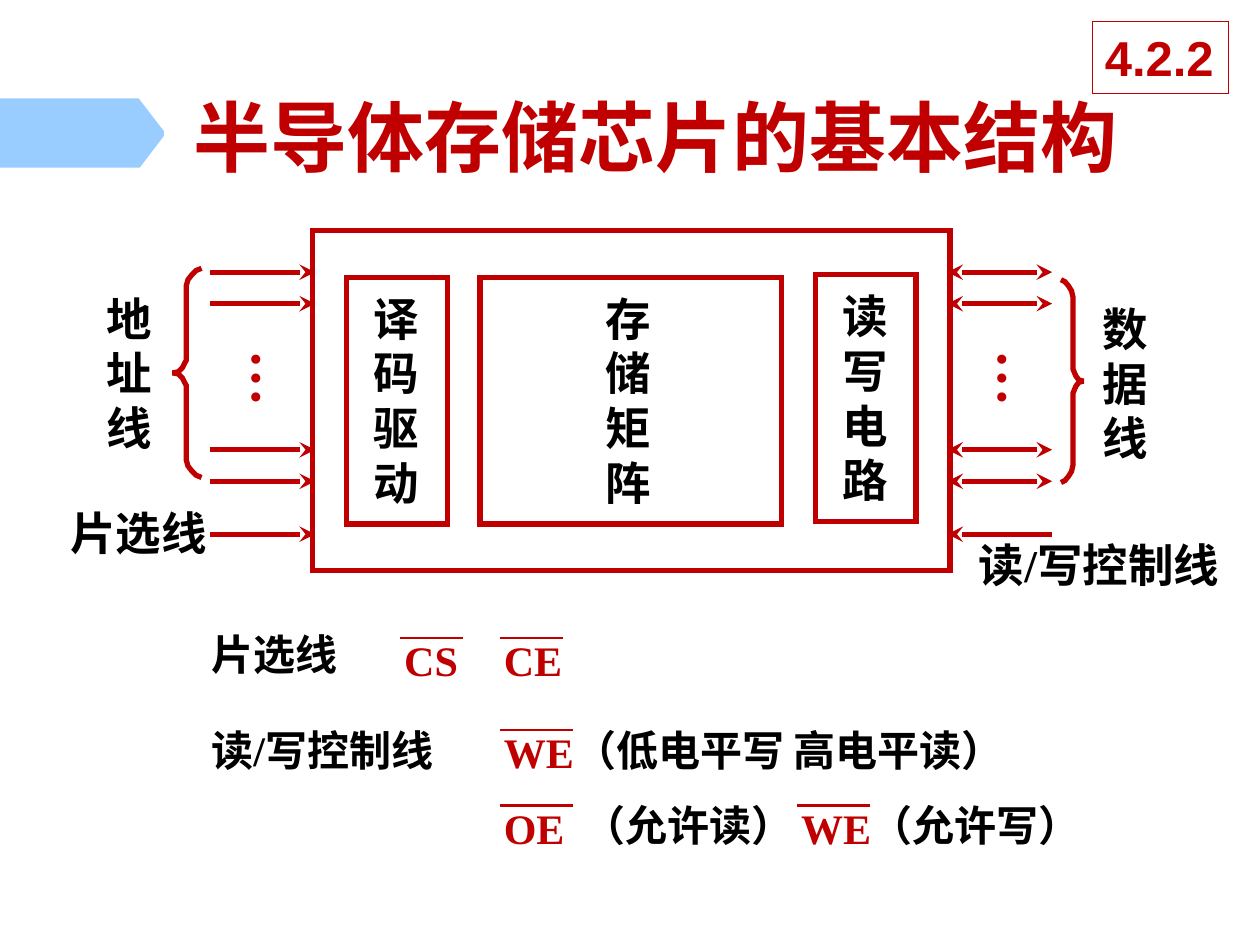
"""Builds a slide on the basic structure of a semiconductor memory chip, on a 100 by 75 grid."""
from lxml import etree
from pptx import Presentation
from pptx.dml.color import RGBColor
from pptx.enum.shapes import MSO_CONNECTOR, MSO_SHAPE
from pptx.enum.text import MSO_ANCHOR, PP_ALIGN
from pptx.oxml.ns import qn
from pptx.util import Inches, Pt

RED = RGBColor(0xC0, 0x00, 0x00)
BLACK = RGBColor(0x00, 0x00, 0x00)
BLUE = RGBColor(0x99, 0xCC, 0xFF)
WHITE = RGBColor(0xFF, 0xFF, 0xFF)
RECT = MSO_SHAPE.RECTANGLE
LINE = MSO_CONNECTOR.STRAIGHT
LEFT, CENTER = PP_ALIGN.LEFT, PP_ALIGN.CENTER
TOP, MIDDLE = MSO_ANCHOR.TOP, MSO_ANCHOR.MIDDLE
SERIF, SANS, HAN = "Times New Roman", "Arial", "Noto Sans CJK SC"
WIDE, HIGH = Inches(10), Inches(7.5)
CELL = WIDE / 100

TITLE = ("半导体存储芯片的基本结构", (13.4, 6.6, 77.3, 8.4))
BADGE = ("4.2.2", (86.7, 1.7, 10.8, 5.7))
TAG = [(0, 7.8), (11, 7.8), (13, 10.4), (13, 10.8), (11.1, 13.3), (0, 13.3)]
BOXES = [
    (24.8, 18.3, 50.6, 27),
    (27.5, 22, 8, 19.6),
    (38.1, 22, 23.9, 19.6),
    (64.7, 21.8, 8, 19.6),
]
STACKS = [
    ("译码驱动", (28.7, 22.6, 5.6, 18.4)),
    ("存储矩阵", (47.1, 22.6, 5.9, 18.4)),
    ("读写电路", (65.9, 22.4, 5.6, 18.4)),
    ("地址线", (7.5, 22.6, 5.4, 14)),
    ("数据线", (86.5, 23.4, 5.6, 14)),
]
LABELS = [
    ("片选线", (4.6, 39.6, 12.9, 5.3), 26),
    ("读/写控制线", (76.7, 42.1, 21.2, 5.3), 26),
    ("片选线", (15.8, 49.4, 30.3, 5), 24),
    ("读/写控制线", (15.8, 57, 27.6, 5), 24),
    ("（低电平写 高电平读）", (44.6, 57, 46.1, 5), 24),
    ("（允许读）", (45.3, 63, 24.4, 5), 24),
    ("（允许写）", (68.1, 63, 24.4, 5), 24),
]
SIGNALS = [
    ("CS", 31.1, 49.9, 5),
    ("CE", 39, 49.9, 5),
    ("WE", 39, 57.2, 5.8),
    ("OE", 39, 63.2, 5.8),
    ("WE", 62.6, 63.2, 5.8),
]
BUS_ROWS = [21.6, 24.1, 35.7, 38.2]
CTRL_ROW = 42.4
DOTS = [(17.6, 26.8, 7.4, 5.5), (76.8, 26.8, 7.4, 5.5)]
BRACES = [(16, 21.3, -2.3, 16.6), (84.2, 22.2, 1.8, 16.1)]
CURVE = [(0, 0), (0.18, 0.02), (0.33, 0.06), (0.47, 0.11), (0.53, 0.17),
         (0.53, 0.88), (0.66, 0.95), (0.8, 0.99), (1, 1)]

deck = Presentation()
deck.slide_width, deck.slide_height = WIDE, HIGH
shapes = deck.slides.add_slide(deck.slide_layouts[6]).shapes


def grid(*cells):
    return [round(cell * CELL) for cell in cells]


def write(shape, lines, size=24, color=BLACK, font=SERIF, align=LEFT,
          anchor=TOP, wrap=False, vert=None):
    frame = shape.text_frame
    frame.word_wrap = wrap
    frame.vertical_anchor = anchor
    if vert:
        shape.element.txBody.bodyPr.set("vert", vert)
    for at, line in enumerate(lines):
        para = frame.add_paragraph() if at else frame.paragraphs[0]
        para.alignment = align
        run = para.add_run()
        run.text = line
        run.font.size = Pt(size)
        run.font.bold = True
        run.font.name = font
        run.font.color.rgb = color
        props = run.font._element
        etree.SubElement(props, qn("a:ea")).set("typeface", HAN)


def label(lines, box, **form):
    write(shapes.add_textbox(*grid(*box)), lines, **form)


def paint(shape, fill=None, line=None, width=3):
    shape.shadow.inherit = False
    if fill is None:
        shape.fill.background()
    else:
        shape.fill.solid()
        shape.fill.fore_color.rgb = fill
    if line is None:
        shape.line.fill.background()
    else:
        shape.line.color.rgb = line
        shape.line.width = Pt(width)
        etree.SubElement(shape.line._get_or_add_ln(), qn("a:miter")).set("lim", "800000")


def trace(points, close):
    pen = shapes.build_freeform(*grid(*points[0]))
    pen.add_line_segments([grid(*spot) for spot in points[1:]], close=close)
    return pen.convert_to_shape()


def rule(start, end, width=3, tips=()):
    wire = shapes.add_connector(LINE, *grid(*start, *end))
    wire.line.color.rgb = RED
    wire.line.width = Pt(width)
    stroke = wire.line._get_or_add_ln()
    for tip in tips:
        etree.SubElement(stroke, qn(f"a:{tip}")).set("type", "stealth")
    etree.SubElement(wire.element.spPr, qn("a:effectLst"))


def brace(x, y, wide, high):
    half = high / 2
    upper = [(x + wide * u, y + half * v) for u, v in CURVE]
    lower = [(px, 2 * y + high - py) for px, py in upper[-2::-1]]
    paint(trace(upper + lower, False), line=RED)


paint(trace(TAG, True), fill=BLUE)
label([TITLE[0]], TITLE[1], size=44, color=RED, font=HAN, align=CENTER, anchor=MIDDLE)

for box in BOXES:
    paint(shapes.add_shape(RECT, *grid(*box)), line=RED)
for text, box in STACKS:
    label(list(text), box, size=26)
for text, box, size in LABELS:
    label([text], box, size=size, wrap=True)

for row in BUS_ROWS:
    rule((16.7, row), (25, row), tips=["tailEnd"])
    rule((83.5, row), (75.2, row), tips=["headEnd", "tailEnd"])
for near, far in ((16.7, 25), (83.5, 75.2)):
    rule((near, CTRL_ROW), (far, CTRL_ROW), tips=["tailEnd"])
for box in DOTS:
    label(["…"], box, size=32, color=RED, vert="eaVert")
for shape in BRACES:
    brace(*shape)

for name, x, y, bar in SIGNALS:
    label([name], (x, y, bar + 3, 5), color=RED, wrap=True)
    rule((x + 0.65, y + 0.75), (x + 0.65 + bar, y + 0.75), width=1.5)

badge = shapes.add_shape(RECT, *grid(*BADGE[1]))
paint(badge, fill=WHITE, line=RED, width=0.75)
write(badge, [BADGE[0]], size=28, color=RED, font=SANS)

deck.save("out.pptx")
